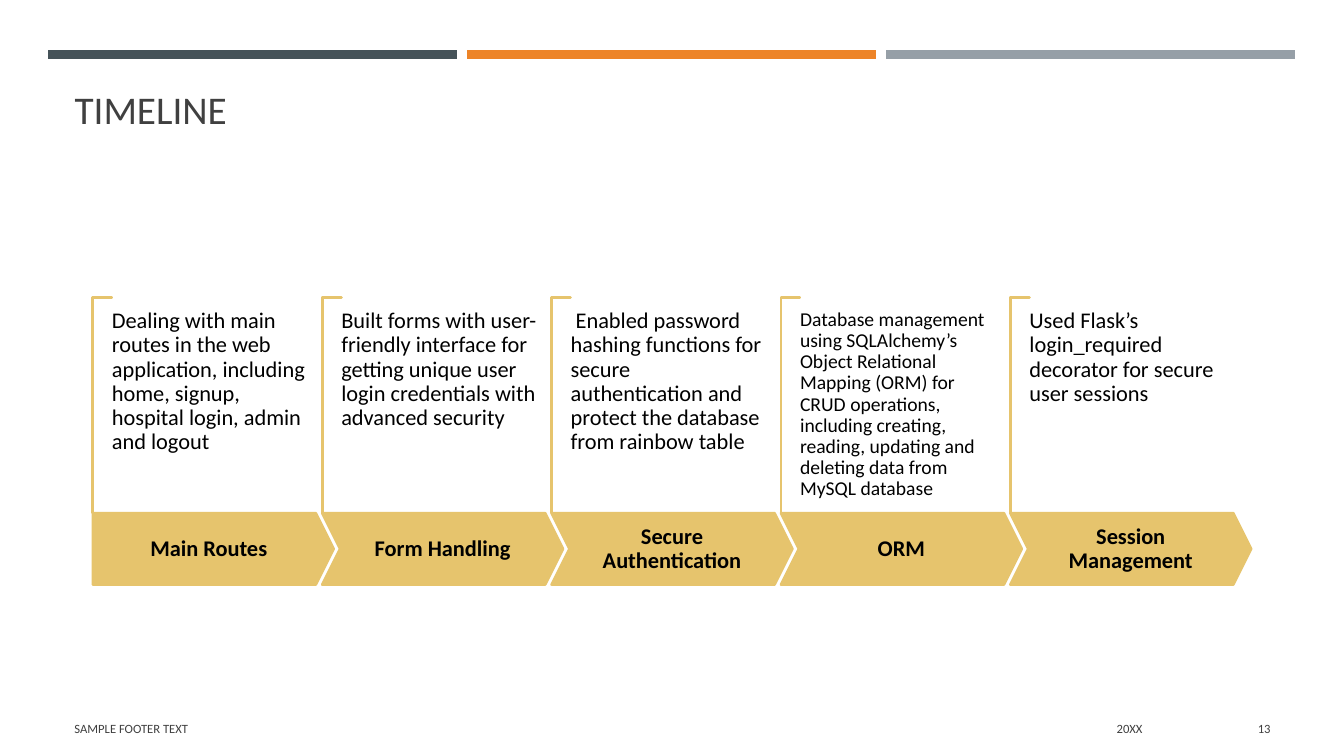
from dataclasses import dataclass

from lxml.etree import SubElement
from pptx import Presentation
from pptx.dml.color import RGBColor
from pptx.enum.shapes import MSO_CONNECTOR, MSO_SHAPE
from pptx.enum.text import MSO_ANCHOR as Anchor, MSO_AUTO_SIZE, PP_ALIGN as Align
from pptx.oxml.ns import qn
from pptx.shapes.autoshape import Shape
from pptx.slide import Slide
from pptx.text.text import TextFrame
from pptx.util import Inches, Pt


@dataclass(frozen=True)
class Theme:
    font: str = "Calibri"
    gold: str = "E6C46D"
    white: str = "FFFFFF"
    black: str = "000000"
    grey: str = "404040"
    title_size: int = 28
    body_size: int = 16
    dense_size: int = 14
    footer_size: int = 9
    outline: float = 1.75
    rule_weight: float = 6.5


@dataclass(frozen=True)
class Stage:
    name: str
    detail: str
    detail_size: int


@dataclass(frozen=True)
class FooterItem:
    text: str
    left: float
    width: float
    align: Align


THEME = Theme()
RULE_COLOURS = ("465359", "ED8428", "969FA7")
STAGES = (
    Stage("Main Routes", "Dealing with main routes in the web application, including home, "
          "signup, hospital login, admin and logout", THEME.body_size),
    Stage("Form Handling", "Built forms with user-friendly interface for getting unique user "
          "login credentials with advanced security", THEME.body_size),
    Stage("Secure Authentication", " Enabled password hashing functions for secure "
          "authentication and protect the database from rainbow table", THEME.body_size),
    Stage("ORM", "Database management using SQLAlchemy’s Object Relational Mapping (ORM) for "
          "CRUD operations, including creating, reading, updating and deleting data from "
          "MySQL database", THEME.dense_size),
    Stage("Session Management", "Used Flask’s login_required decorator for secure user sessions",
          THEME.body_size),
)
FOOTER = (
    FooterItem("SAMPLE FOOTER TEXT", 0.64, 7.56, Align.LEFT),
    FooterItem("20XX", 8.32, 3.11, Align.RIGHT),
    FooterItem("13", 11.55, 1.15, Align.RIGHT),
)
STAGE_LEFT, STAGE_PITCH = 0.92, 2.275
ARROW_TOP, ARROW_WIDTH, ARROW_HEIGHT = 5.09, 2.39, 0.71
BRACKET_LENGTH, BRACKET_DEPTH = 2.14, 0.19


def write(frame: TextFrame, text: str, size: int, colour: str, align: Align = Align.LEFT,
          anchor: Anchor = Anchor.TOP, bold: bool = False, spacing: float = 1.0,
          margins: tuple[float, float] = (0.1, 0.05)) -> None:
    """Fill a frame with one paragraph; margins are horizontal, vertical."""
    frame.text = text
    frame.word_wrap = True
    frame.auto_size = MSO_AUTO_SIZE.NONE
    frame.vertical_anchor = anchor
    frame.margin_left = frame.margin_right = Inches(margins[0])
    frame.margin_top = frame.margin_bottom = Inches(margins[1])
    paragraph = frame.paragraphs[0]
    paragraph.alignment = align
    paragraph.line_spacing = spacing
    font = paragraph.runs[0].font
    font.name = THEME.font
    font.size = Pt(size)
    font.bold = bold
    font.color.rgb = RGBColor.from_string(colour)


def add_gold_shape(slide: Slide, preset: MSO_SHAPE, left: float, top: float, width: float,
                   height: float, fill: str) -> Shape:
    shape = slide.shapes.add_shape(preset, Inches(left), Inches(top), Inches(width),
                                   Inches(height))
    shape.shadow.inherit = False
    shape.fill.solid()
    shape.fill.fore_color.rgb = RGBColor.from_string(fill)
    shape.line.color.rgb = RGBColor.from_string(THEME.gold)
    shape.line.width = Pt(THEME.outline)
    return shape


def add_top_rules(slide: Slide) -> None:
    for index, colour in enumerate(RULE_COLOURS):
        left = 0.48 + 4.155 * index
        rule = slide.shapes.add_connector(MSO_CONNECTOR.STRAIGHT, Inches(left), Inches(0.54),
                                          Inches(left + 4.05), Inches(0.54))
        rule.line.color.rgb = RGBColor.from_string(colour)
        rule.line.width = Pt(THEME.rule_weight)
        SubElement(rule._element.spPr, qn("a:effectLst"))


def add_title(slide: Slide) -> None:
    title = slide.shapes.title
    title.left, title.top = Inches(0.64), Inches(0.8)
    title.width, title.height = Inches(12.06), Inches(1.08)
    write(title.text_frame, "TIMELINE", THEME.title_size, THEME.grey)


def add_stage(slide: Slide, stage: Stage, index: int) -> None:
    left = STAGE_LEFT + STAGE_PITCH * index

    # The bracket is turned a quarter, so its box is placed around its centre.
    bracket = add_gold_shape(
        slide, MSO_SHAPE.CORNER, left + (BRACKET_DEPTH - BRACKET_LENGTH) / 2,
        ARROW_TOP - (BRACKET_LENGTH + BRACKET_DEPTH) / 2,
        BRACKET_LENGTH, BRACKET_DEPTH, THEME.white)
    bracket.rotation = 90
    bracket.adjustments[0] = bracket.adjustments[1] = 0.01

    preset = MSO_SHAPE.CHEVRON if index else MSO_SHAPE.PENTAGON
    arrow = add_gold_shape(slide, preset, left, ARROW_TOP, ARROW_WIDTH, ARROW_HEIGHT, THEME.gold)
    arrow.adjustments[0] = 0.25
    write(arrow.text_frame, stage.name, THEME.body_size, THEME.black, Align.CENTER,
          Anchor.MIDDLE, bold=True, spacing=0.9, margins=(0.11, 0.22))

    detail = slide.shapes.add_textbox(Inches(left + BRACKET_DEPTH), Inches(3.07),
                                      Inches(1.94), Inches(1.48))
    write(detail.text_frame, stage.detail, stage.detail_size, THEME.black,
          spacing=0.9, margins=(0, 0))


def add_footer(slide: Slide) -> None:
    for item in FOOTER:
        box = slide.shapes.add_textbox(Inches(item.left), Inches(7.03), Inches(item.width),
                                       Inches(0.4))
        write(box.text_frame, item.text, THEME.footer_size, THEME.grey, item.align,
              Anchor.MIDDLE)


def main() -> None:
    deck = Presentation()
    deck.slide_width, deck.slide_height = Inches(13.33), Inches(7.5)
    slide = deck.slides.add_slide(deck.slide_layouts[5])
    add_top_rules(slide)
    add_title(slide)
    for index, stage in enumerate(STAGES):
        add_stage(slide, stage, index)
    add_footer(slide)
    deck.save("out.pptx")


if __name__ == "__main__":
    main()
